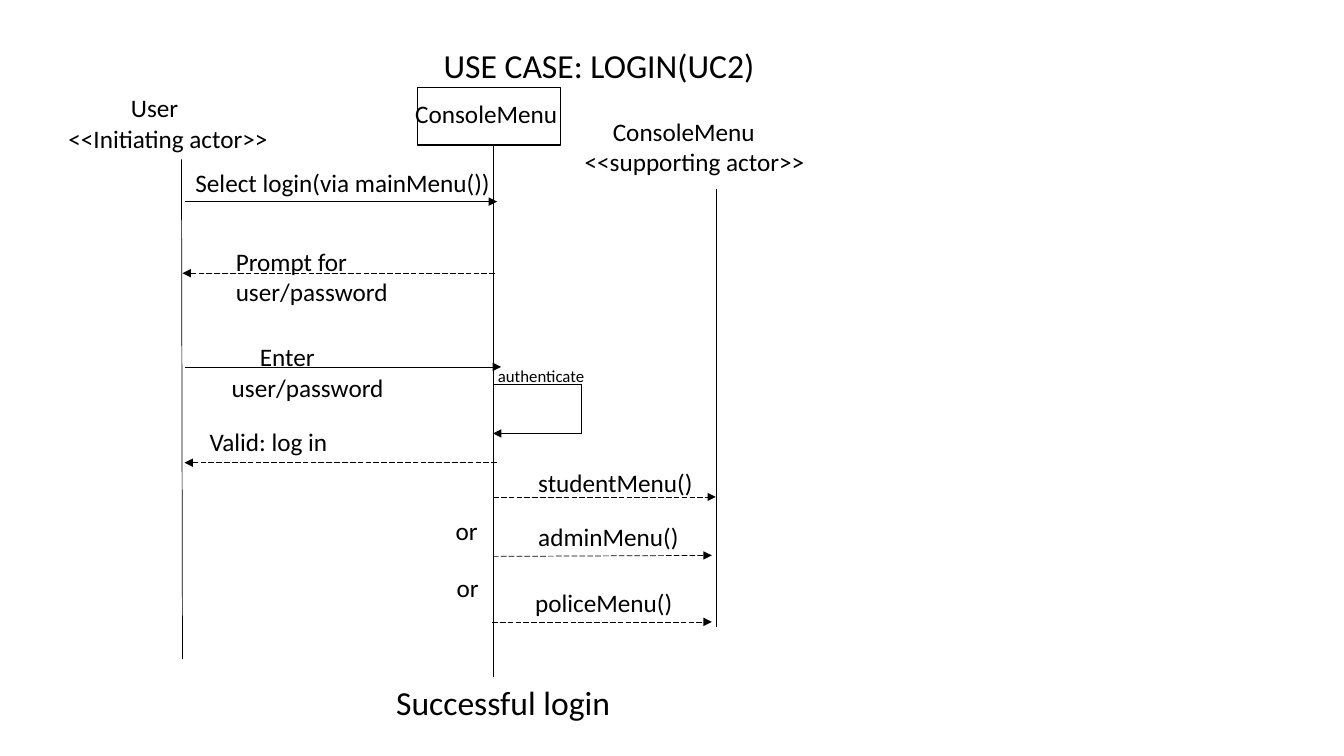
"""Builds the login use case sequence diagram slide."""
from lxml import etree
from pptx import Presentation
from pptx.dml.color import RGBColor
from pptx.enum.dml import MSO_LINE
from pptx.enum.shapes import MSO_CONNECTOR, MSO_SHAPE
from pptx.enum.text import MSO_ANCHOR, MSO_AUTO_SIZE, PP_ALIGN
from pptx.oxml.ns import qn
from pptx.util import Inches, Pt

STRAIGHT = MSO_CONNECTOR.STRAIGHT
RECT = MSO_SHAPE.RECTANGLE
DASH = MSO_LINE.LONG_DASH
TOP = MSO_ANCHOR.TOP
LEFT = PP_ALIGN.LEFT
FIXED = MSO_AUTO_SIZE.NONE
INK = "000000"
USER, MENU, ACTOR = 1.81, 4.89, 7.1


def write(box, place, text, size, indent=0):
    box.left, box.top, box.width, box.height = map(Inches, place)
    frame = box.text_frame
    frame.word_wrap = True
    frame.auto_size = FIXED
    frame.vertical_anchor = TOP
    frame.text = text
    for para in frame.paragraphs:
        para.alignment = LEFT
        para.font.name = "Calibri"
        para.font.size = Pt(size)
        para.font.color.rgb = RGBColor.from_string(INK)
    first = frame.paragraphs[0]._p.get_or_add_pPr()
    first.set("indent", str(Inches(indent)))


def draw(start, end, arrow=True, dashed=False):
    line = slide.shapes.add_connector(STRAIGHT, *map(Inches, start + end))
    line.line.color.rgb = RGBColor.from_string(INK)
    line.line.width = Pt(0.5)
    if dashed:
        line.line.dash_style = DASH
    if arrow:
        tail = etree.SubElement(line.line._get_or_add_ln(), qn("a:tailEnd"))
        tail.set("type", "triangle")
    etree.SubElement(line._element.spPr, qn("a:effectLst"))


deck = Presentation()
deck.slide_width, deck.slide_height = Inches(13.33), Inches(7.5)
slide = deck.slides.add_slide(deck.slide_layouts[5])
write(slide.shapes.title, (4.3, 0.4, 3.39, 0.5), "USE CASE: LOGIN(UC2)", 24)

head = slide.shapes.add_shape(RECT, *map(Inches, (4.14, 0.87, 1.42, 0.57)))
head.shadow.inherit = False
head.fill.background()
head.line.color.rgb = RGBColor.from_string(INK)
head.line.width = Pt(1)

lives = [
    ((1.8, 1.58), (USER, 6.54)),
    ((MENU, 1.44), (MENU, 6.72)),
    ((ACTOR, 1.88), (ACTOR, 6.22)),
]
for start, end in lives:
    draw(start, end, arrow=False)

calls = [
    ((1.83, 2), (4.93, 2), False),
    ((4.91, 2.71), (USER, 2.71), True),
    ((1.83, 3.64), (4.97, 3.64), False),
    ((4.93, 4.59), (1.83, 4.59), True),
    ((MENU, 4.93), (ACTOR, 4.93), True),
    ((MENU, 5.52), (7.06, 5.51), True),
    ((4.88, 6.17), (7.06, 6.17), True),
]
for start, end, dashed in calls:
    draw(start, end, dashed=dashed)

draw((MENU, 3.81), (5.77, 3.81), arrow=False)
draw((5.77, 3.81), (5.77, 4.3), arrow=False)
draw((5.77, 4.3), (MENU, 4.3))

labels = [
    ((0.58, 0.87, 2.46, 0.71), "User\n<<Initiating actor>>", 18, 0.62),
    ((3.74, 0.93, 2.46, 0.4), "ConsoleMenu", 18, 0.28),
    ((5.7, 1.1, 2.46, 0.71), "ConsoleMenu\n<<supporting actor>>", 18, 0.28),
    ((1.84, 1.61, 3.27, 0.4), "Select login(via mainMenu())", 18, 0),
    ((2.24, 2.39, 1.76, 0.71), "Prompt for user/password", 18, 0),
    ((2.2, 3.34, 1.76, 0.71), "Enter user/password", 18, 0.28),
    ((4.84, 3.58, 1.23, 0.3), "authenticate", 12, 0),
    ((1.98, 4.18, 1.6, 0.4), "Valid: log in", 18, 0),
    ((5.24, 4.59, 2.2, 0.4), "studentMenu()", 18, 0),
    ((4.42, 5.06, 0.54, 0.4), "or", 18, 0),
    ((5.24, 5.12, 2.2, 0.4), "adminMenu()", 18, 0),
    ((4.43, 5.63, 0.54, 0.4), "or", 18, 0),
    ((5.21, 5.78, 2.2, 0.4), "policeMenu()", 18, 0),
    ((3.83, 6.72, 3.39, 0.5), "Successful login", 24, 0),
]
for place, text, size, indent in labels:
    box = slide.shapes.add_textbox(*map(Inches, place))
    write(box, place, text, size, indent)

deck.save("out.pptx")
